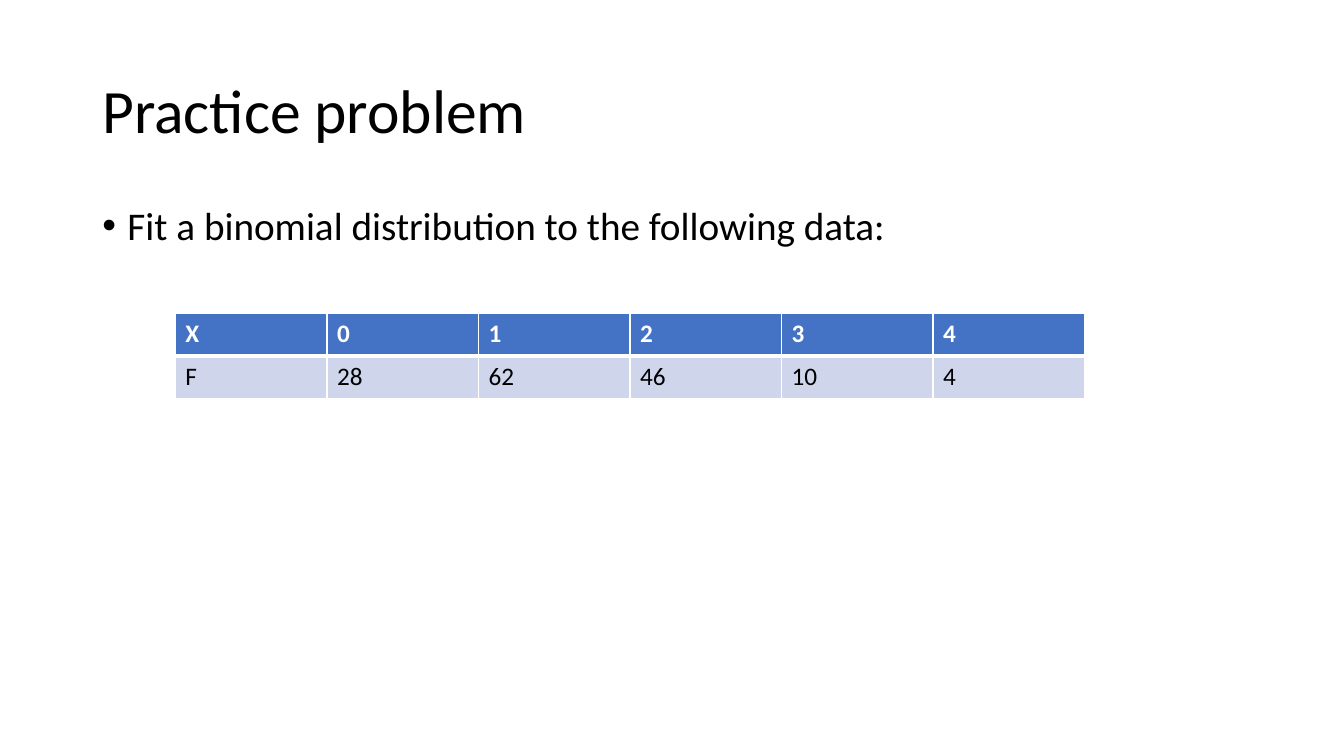
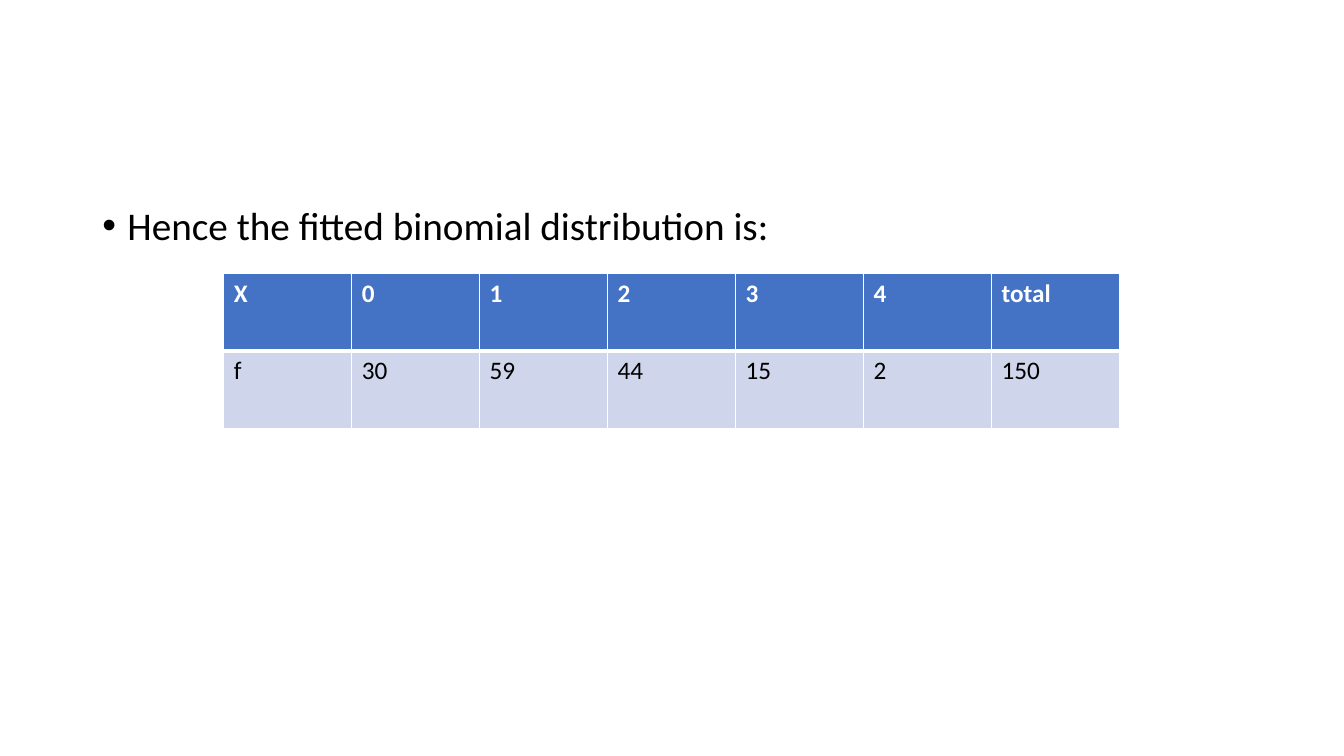
from lxml.etree import SubElement
from pptx import Presentation
from pptx.dml.color import RGBColor
from pptx.enum.text import MSO_ANCHOR
from pptx.oxml.ns import qn
from pptx.util import Pt

SLIDES = [
    {
        "title": "Practice problem",
        "bullet": "Fit a binomial distribution to the following data:",
        "rows": [["X", "0", "1", "2", "3", "4"],
                 ["F", "28", "62", "46", "10", "4"]],
        "table_box": (125.3, 223.9, 649.4, 60.8),
    },
    {
        "title": None,
        "bullet": "Hence the fitted binomial distribution is:",
        "rows": [["X", "0", "1", "2", "3", "4", "total"],
                 ["f", "30", "59", "44", "15", "2", "150"]],
        "table_box": (159.8, 195.1, 640, 110.8),
    },
]

FONT = "Calibri"
BLACK, WHITE, BLUE, PALE = "000000", "FFFFFF", "4472C4", "CFD5EA"
TITLE_BOX = (66, 28.8, 828, 104.4)
BODY_BOX = (66, 144, 828, 342.6)
INDENT = 18
THIN, THICK = 1, 3


def color(hex_code):
    """Turn a hex string into a colour."""
    return RGBColor.from_string(hex_code)


def style(p, size, hex_code, bold=False):
    """Format every run of a paragraph."""
    for r in p.runs:
        r.font.name = FONT
        r.font.size = Pt(size)
        r.font.bold = bold
        r.font.color.rgb = color(hex_code)


def add_text(s, box, text, size, anchor):
    """Add a wrapped text box and return its paragraph."""
    tf = s.shapes.add_textbox(*map(Pt, box)).text_frame
    tf.word_wrap = True
    tf.vertical_anchor = anchor
    tf.text = text
    p = tf.paragraphs[0]
    p.line_spacing = 0.9
    style(p, size, BLACK)
    return p


def add_bullet(p):
    """Give a paragraph a bullet with a hanging indent."""
    p.space_before = Pt(10)
    pPr = p._p.get_or_add_pPr()
    pPr.set("marL", str(Pt(INDENT)))
    pPr.set("indent", str(-Pt(INDENT)))
    SubElement(pPr, qn("a:buFont"), typeface="Arial")
    SubElement(pPr, qn("a:buChar"), char="•")


def set_borders(cell, top, bottom):
    """Draw white borders round a cell."""
    tcPr = cell._tc.get_or_add_tcPr()
    for side, width in zip("LRTB", (THIN, THIN, top, bottom)):
        ln = SubElement(tcPr, qn(f"a:ln{side}"), w=str(Pt(width)))
        fill = SubElement(ln, qn("a:solidFill"))
        SubElement(fill, qn("a:srgbClr"), val=WHITE)


def add_data_table(s, rows, box):
    """Add a table with a blue header row and equal cells."""
    left, top, width, height = box
    table = s.shapes.add_table(len(rows), len(rows[0]), *map(Pt, box)).table
    for column in table.columns:
        column.width = Pt(width / len(rows[0]))
    for i, values in enumerate(rows):
        table.rows[i].height = Pt(height / len(rows))
        header = i == 0
        for j, value in enumerate(values):
            cell = table.cell(i, j)
            cell.text = value
            style(cell.text_frame.paragraphs[0], 18,
                  WHITE if header else BLACK, header)
            set_borders(cell, THICK if i == 1 else THIN,
                        THICK if header else THIN)
            cell.fill.solid()
            cell.fill.fore_color.rgb = color(BLUE if header else PALE)


def add_slide(prs, content):
    """Build one slide from its content."""
    s = prs.slides.add_slide(prs.slide_layouts[6])
    if content["title"]:
        add_text(s, TITLE_BOX, content["title"], 44, MSO_ANCHOR.MIDDLE)
    add_bullet(add_text(s, BODY_BOX, content["bullet"], 28, MSO_ANCHOR.TOP))
    add_data_table(s, content["rows"], content["table_box"])


prs = Presentation()
prs.slide_width, prs.slide_height = Pt(960), Pt(540)
for content in SLIDES:
    add_slide(prs, content)
prs.save("out.pptx")
